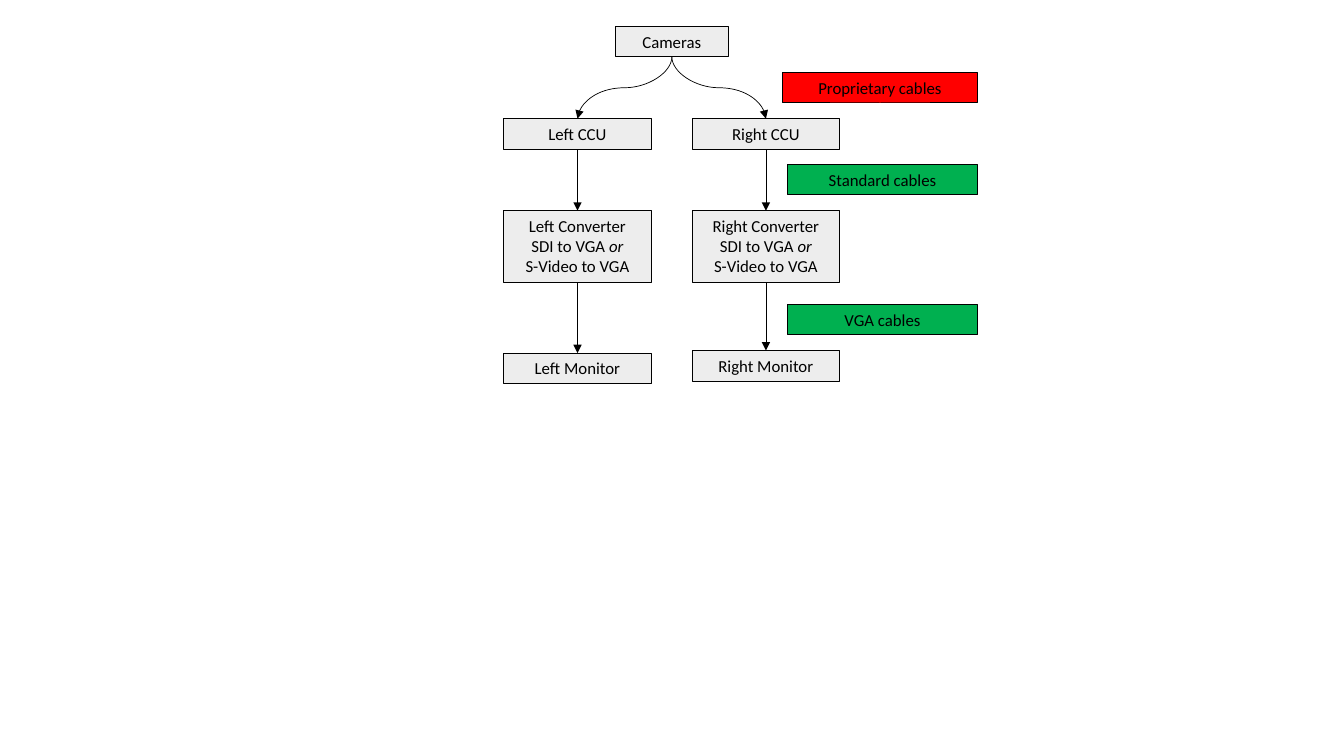
from dataclasses import dataclass

from lxml.etree import SubElement
from pptx import Presentation
from pptx.dml.color import RGBColor
from pptx.enum.shapes import MSO_CONNECTOR, MSO_SHAPE
from pptx.enum.text import MSO_ANCHOR, MSO_AUTO_SIZE, PP_ALIGN
from pptx.oxml.ns import qn
from pptx.shapes.autoshape import Shape
from pptx.util import Pt

GREY, RED, GREEN, BLACK = "EDEDED", "FF0000", "00B050", "000000"
FONT = {"name": "Calibri", "size": Pt(12)}
FRAME = {"word_wrap": True, "auto_size": MSO_AUTO_SIZE.SHAPE_TO_FIT_TEXT,
         "vertical_anchor": MSO_ANCHOR.TOP}
ROW_H, CONVERTER_H = 21.8, 51.0
COL_W, LEFT_X, RIGHT_X = 105.4, 359.8, 494.4
CABLE_RIGHT = 698.2
BOTTOM, TOP = 2, 0  # connection sites of a rectangle


@dataclass
class Box:
    text: str  # words between asterisks are italic
    x: float
    y: float
    w: float = COL_W
    h: float = ROW_H
    fill: str = GREY


def rgb(value: str) -> RGBColor:
    return RGBColor.from_string(value)


def set_all(target: object, values: dict) -> None:
    for name, value in values.items():
        setattr(target, name, value)


def draw_box(box: Box) -> Shape:
    sp = s.shapes.add_shape(MSO_SHAPE.RECTANGLE, Pt(box.x), Pt(box.y), Pt(box.w), Pt(box.h))
    sp.shadow.inherit = False
    sp.fill.solid()
    sp.fill.fore_color.rgb = rgb(box.fill)
    sp.line.color.rgb = rgb(BLACK)
    sp.line.width = Pt(0.75)
    tf = sp.text_frame
    set_all(tf, FRAME)
    for i, line in enumerate(box.text.split("\n")):
        p = tf.paragraphs[0] if i == 0 else tf.add_paragraph()
        p.alignment = PP_ALIGN.CENTER
        for j, part in enumerate(line.split("*")):
            if part:
                r = p.add_run()
                r.text = part
                set_all(r.font, {**FONT, "italic": j % 2 == 1})
                r.font.color.rgb = rgb(BLACK)
    return sp


def draw_arrow(start: Shape, end: Shape) -> None:
    x1, y1 = start.left + start.width // 2, start.top + start.height
    x2, y2 = end.left + end.width // 2, end.top
    kind = MSO_CONNECTOR.STRAIGHT if x1 == x2 else MSO_CONNECTOR.CURVE
    c = s.shapes.add_connector(kind, x1, y1, x2, y2)
    c.begin_connect(start, BOTTOM)
    c.end_connect(end, TOP)
    if x1 != x2:
        # A curve leaving downwards is a sideways S turned by a quarter
        w, h = y2 - y1, abs(x2 - x1)
        set_all(c, {"left": (x1 + x2 - w) // 2, "top": (y1 + y2 - h) // 2,
                    "width": w, "height": h, "rotation": 90 if x2 < x1 else 270})
        c._element.spPr.find(qn("a:xfrm")).set("flipH", "0" if x2 < x1 else "1")
    c.line.color.rgb = rgb(BLACK)
    c.line.width = Pt(0.5)
    SubElement(c.line._get_or_add_ln(), qn("a:tailEnd"), type="triangle")
    SubElement(c._element.spPr, qn("a:effectLst"))


prs = Presentation()
prs.slide_width, prs.slide_height = Pt(960), Pt(540)
s = prs.slides.add_slide(prs.slide_layouts[6])

# Cable labels, aligned on the right
for text, y, w, fill in (("Proprietary cables", 51.8, 139.2, RED),
                         ("Standard cables", 117.5, 135.6, GREEN),
                         ("VGA cables", 217.4, 135.6, GREEN)):
    draw_box(Box(text, CABLE_RIGHT - w, y, w, fill=fill))

# Shared source of both video chains
cameras = draw_box(Box("Cameras", 439.6, 18.8, 80.6))

# One chain per side: CCU, converter, monitor
for side, x, monitor_y in (("Left", LEFT_X, 252.2), ("Right", RIGHT_X, 250.4)):
    converter = f"{side} Converter\nSDI to VGA *or*\nS-Video to VGA"
    chain = [cameras] + [draw_box(box) for box in (
        Box(f"{side} CCU", x, 84.8),
        Box(converter, x, 150.5, h=CONVERTER_H),
        Box(f"{side} Monitor", x, monitor_y))]
    for start, end in zip(chain, chain[1:]):
        draw_arrow(start, end)

prs.save("out.pptx")
